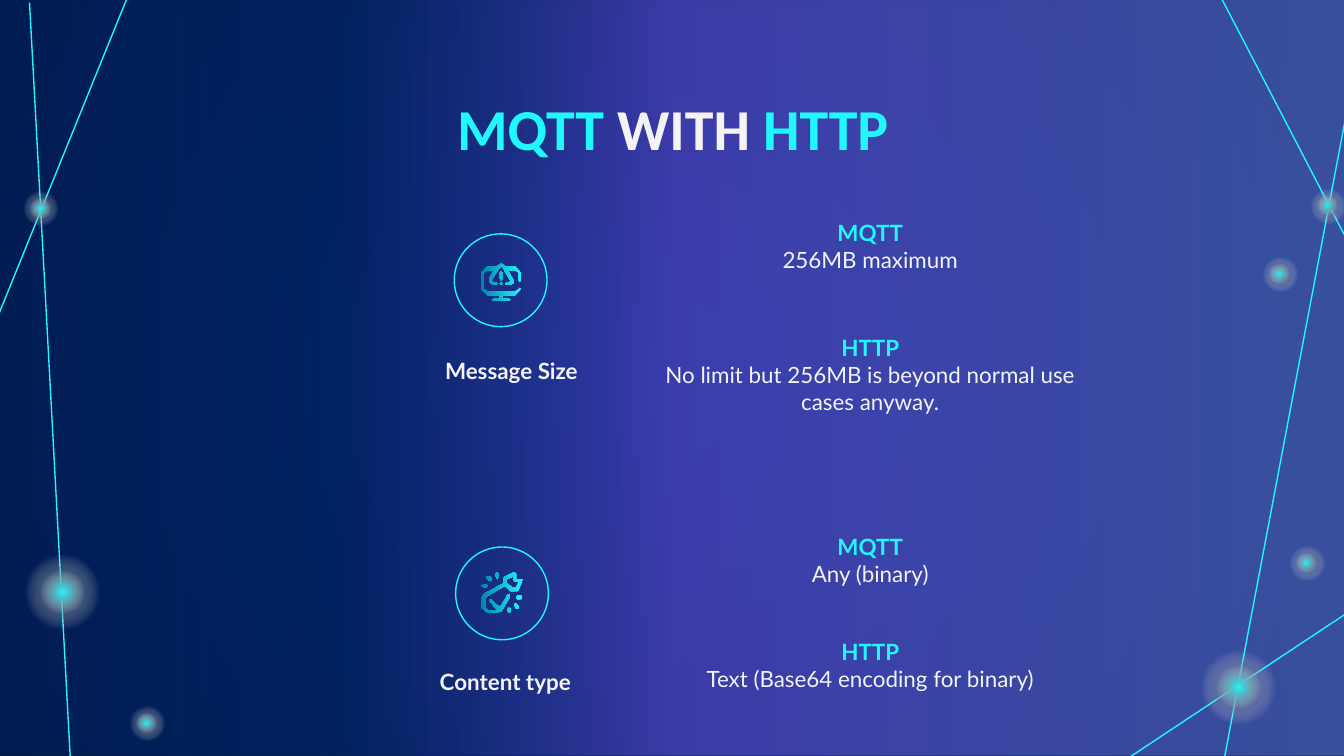
from dataclasses import dataclass

from lxml.etree import SubElement
from pptx import Presentation
from pptx.dml.color import RGBColor
from pptx.enum.shapes import MSO_CONNECTOR as Connector, MSO_SHAPE as Preset
from pptx.enum.text import MSO_ANCHOR as Anchor, MSO_AUTO_SIZE as AutoSize, PP_ALIGN as Align
from pptx.oxml import parse_xml
from pptx.oxml.ns import nsdecls, qn
from pptx.util import Emu, Inches, Pt

PX = 9144


@dataclass(frozen=True)
class Theme:
    """Colours, fonts and type sizes of the deck."""
    cyan: str = "20F8FD"
    teal: str = "0182AA"
    white: str = "F3F3F3"
    navy: str = "012060"
    night: str = "00183A"
    blue: str = "022E88"
    violet: str = "7659FF"
    sky: str = "748BFF"
    title_font: str = "Calibri"
    body_font: str = "Lato"
    title_size: int = 31
    body_size: int = 12
    line_width: float = 0.75


THEME = Theme()

MONITOR = [
    [(14, 15), (15, 14), (16, 15), (15, 16)],
    [(16, 11), (16, 7), (15, 6), (14, 7), (14, 11), (15, 13)],
    [(29, 14), (30, 13), (30, 7), (25, 2), (18, 2), (15, 0), (12, 2), (5, 2), (0, 7), (0, 19),
     (5, 24), (14, 24), (14, 26), (10, 26), (8, 27), (10, 28), (20, 28), (22, 27), (20, 26),
     (16, 26), (16, 24), (25, 24), (30, 19), (29, 18), (28, 19), (25, 21), (5, 21), (2, 19),
     (2, 7), (5, 5), (10, 5), (6, 11), (6, 14), (9, 16), (11, 16), (12, 15), (11, 14), (9, 14),
     (8, 13), (8, 12), (14, 3), (15, 2), (16, 3), (20, 10), (22, 13), (21, 14), (19, 14),
     (18, 15), (19, 16), (21, 16), (24, 15), (24, 12), (22, 9), (20, 5), (25, 5), (28, 7),
     (28, 13)],
]
WRENCH = [
    [(28, 13), (31, 6), (31, 5), (30, 5), (26, 5), (26, 1), (25, 0), (24, 0), (18, 3), (17, 4),
     (17, 8), (15, 9), (2, 16), (0, 20), (0, 26), (5, 30), (10, 30), (15, 29), (21, 19),
     (21, 16), (19, 17), (19, 18), (14, 26), (7, 20), (6, 20), (6, 21), (12, 28), (10, 28),
     (5, 28), (3, 26), (3, 20), (4, 18), (16, 11), (18, 10), (21, 13), (22, 14), (27, 14)],
    [(23, 11), (19, 8), (19, 5), (24, 3), (24, 6), (25, 7), (28, 7), (26, 11)],
    [(4, 4), (4, 3), (6, 3), (8, 4), (8, 6), (6, 6)],
    [(11, 3), (11, 1), (12, 0), (13, 1), (13, 3), (12, 5)],
    [(0, 10), (2, 9), (4, 9), (5, 10), (4, 11), (2, 11)],
    [(28, 25), (28, 27), (26, 27), (25, 25), (25, 23), (26, 23)],
    [(31, 19), (30, 20), (27, 20), (26, 19), (27, 17), (30, 17)],
    [(22, 27), (22, 29), (21, 30), (20, 29), (20, 27), (21, 26)],
]


def px(*lengths):
    """Turn px lengths into EMU."""
    return [Emu(length * PX) for length in lengths]


def color(code):
    """Return the colour for a hex code."""
    return RGBColor.from_string(code)


def set_gradient(fill, parent, stops, angle=None):
    """Fill with (position, colour, opacity) stops, circular unless an angle is given."""
    fill.background()
    stop_xml = "".join(
        f'<a:gs pos="{position * 1000}"><a:srgbClr val="{code}">'
        f'<a:alpha val="{opacity * 1000}"/></a:srgbClr></a:gs>'
        for position, code, opacity in stops)
    if angle is None:
        direction = ('<a:path path="circle">'
                     '<a:fillToRect l="50000" t="50000" r="50000" b="50000"/></a:path>')
    else:
        direction = f'<a:lin ang="{angle * 60000}" scaled="0"/>'
    gradient = parse_xml(f'<a:gradFill {nsdecls("a")} rotWithShape="1">'
                         f'<a:gsLst>{stop_xml}</a:gsLst>{direction}</a:gradFill>')
    parent.replace(parent.find(qn("a:noFill")), gradient)


def add_gradient_shape(slide, preset, box, stops, angle=None):
    """Add a borderless preset shape with a gradient."""
    shape = slide.shapes.add_shape(preset, *px(*box))
    shape.shadow.inherit = False
    shape.line.fill.background()
    set_gradient(shape.fill, shape.element.spPr, stops, angle)


def add_line(slide, start, end):
    """Add a thin cyan line."""
    line = slide.shapes.add_connector(Connector.STRAIGHT, *px(*start, *end))
    line.line.color.rgb = color(THEME.cyan)
    line.line.width = Pt(THEME.line_width)
    SubElement(line.element.spPr, qn("a:effectLst"))


def add_glow(slide, left, top, size, core):
    """Add a halo with a bright core at its centre."""
    inset = (size - core) // 2
    for offset, side, code in ((0, size, THEME.night), (inset, core, THEME.cyan)):
        stops = [(0, code, 100), (50, THEME.white, 0), (100, THEME.white, 0)]
        add_gradient_shape(slide, Preset.OVAL, (left + offset, top + offset, side, side), stops)


def add_backdrop(slide, box):
    """Paint the background, the veil and the network of lines and nodes."""
    background = slide.background.fill
    background.background()
    set_gradient(background, slide.element.find(".//" + qn("p:bgPr")),
                 [(0, THEME.navy, 100), (100, THEME.night, 100)])
    add_gradient_shape(slide, Preset.RECTANGLE, box,
                       [(0, THEME.navy, 60), (25, THEME.blue, 35),
                        (50, THEME.violet, 50), (100, THEME.sky, 49)], 0)
    left, top = box[:2]
    for x1, y1, x2, y2 in ((-1, 234, 94, 0), (53, 577, 22, 2), (823, 575, 1004, 455),
                           (909, -1, 1002, 178), (908, 580, 1003, 78)):
        add_line(slide, (left + x1, top + y1), (left + x2, top + y2))
    for x, y in ((7, 401), (882, 472)):
        add_glow(slide, left + x, top + y, 79, 47)
    for x, y in ((12, 137), (970, 135), (934, 186), (954, 401), (91, 520)):
        add_glow(slide, left + x, top + y, 37, 22)


def format_frame(frame):
    """Give a text frame its insets, wrapping and top anchor."""
    frame.word_wrap = True
    frame.auto_size = AutoSize.NONE
    frame.vertical_anchor = Anchor.TOP
    frame.margin_left = frame.margin_top = frame.margin_right = frame.margin_bottom = Inches(0.1)


def format_run(run, font, size, code, bold):
    """Set the font of a run."""
    run.font.name = font
    run.font.size = Pt(size)
    run.font.bold = bold
    run.font.color.rgb = color(code)


def add_title(slide, box, words):
    """Place the title and colour its words."""
    title = slide.shapes.title
    title.left, title.top, title.width, title.height = px(*box)
    format_frame(title.text_frame)
    paragraph = title.text_frame.paragraphs[0]
    paragraph.alignment = Align.CENTER
    for text, code in words:
        run = paragraph.add_run()
        run.text = text
        format_run(run, THEME.title_font, THEME.title_size, code, True)
    slide.shapes.element.append(title.element)


def add_text(slide, box, text, styles, hanging=False):
    """Add centred paragraphs, one (colour, bold) style for each."""
    frame = slide.shapes.add_textbox(*px(*box)).text_frame
    format_frame(frame)
    frame.text = text
    for paragraph, (code, bold) in zip(frame.paragraphs, styles):
        paragraph.alignment = Align.CENTER
        if hanging:
            properties = paragraph._p.get_or_add_pPr()
            properties.set("marL", str(Inches(0.5)))
            properties.set("indent", str(Inches(-0.35)))
        format_run(paragraph.runs[0], THEME.body_font, THEME.body_size, code, bold)


def add_icon(slide, left, top, contours):
    """Add a gradient icon made of closed contours."""
    builder = slide.shapes.build_freeform(*contours[0][0], scale=PX)
    for index, contour in enumerate(contours):
        if index:
            builder.move_to(*contour[0])
        builder.add_line_segments(contour[1:], close=True)
    icon = builder.convert_to_shape(*px(left, top))
    icon.shadow.inherit = False
    icon.line.fill.background()
    set_gradient(icon.fill, icon.element.spPr,
                 [(0, THEME.cyan, 100), (100, THEME.teal, 100)], 180)


def add_comparison(slide, box, label, label_box, badge, icon, contours, answers):
    """Add a labelled badge at the left and the answers of both protocols at the right."""
    left, top, width, _ = box
    badge_left, badge_top = left + badge[0], top + badge[1]
    circle = slide.shapes.add_shape(Preset.OVAL, *px(badge_left, badge_top, 69, 69))
    circle.shadow.inherit = False
    circle.fill.background()
    circle.line.color.rgb = color(THEME.cyan)
    circle.line.width = Pt(THEME.line_width)
    add_icon(slide, badge_left + icon[0], badge_top + icon[1], contours)
    x, y, label_width = label_box
    add_text(slide, (left + x, top + y, label_width, 45), label, [(THEME.white, True)], True)
    for offset, height, protocol, answer in answers:
        add_text(slide, (left + width - 339, top + offset, 339, height), f"{protocol}\n{answer}",
                 [(THEME.cyan, True), (THEME.white, False)])


def main():
    """Build and save the slide."""
    presentation = Presentation()
    presentation.slide_width, presentation.slide_height = Inches(10), Inches(5.625)
    slide = presentation.slides.add_slide(presentation.slide_layouts[5])
    add_backdrop(slide, (0, 0, 1000, 563))
    add_title(slide, (79, 59, 843, 69),
              [("MQTT ", THEME.cyan), ("WITH ", THEME.white), ("HTTP", THEME.cyan)])
    add_comparison(slide, (237, 153, 580, 148), "Message Size", (10, 103, 252),
                   (101, 21), (20, 22), MONITOR,
                   [(0, 75, "MQTT", "256MB maximum"),
                    (86, 60, "HTTP", "No limit but 256MB is beyond normal use cases anyway.")])
    add_comparison(slide, (237, 387, 580, 145), "Content type", (0, 100, 263),
                   (102, 20), (19, 19), WRENCH,
                   [(0, 75, "MQTT", "Any (binary)"),
                    (78, 61, "HTTP", "Text (Base64 encoding for binary)")])
    presentation.save("out.pptx")


if __name__ == "__main__":
    main()
